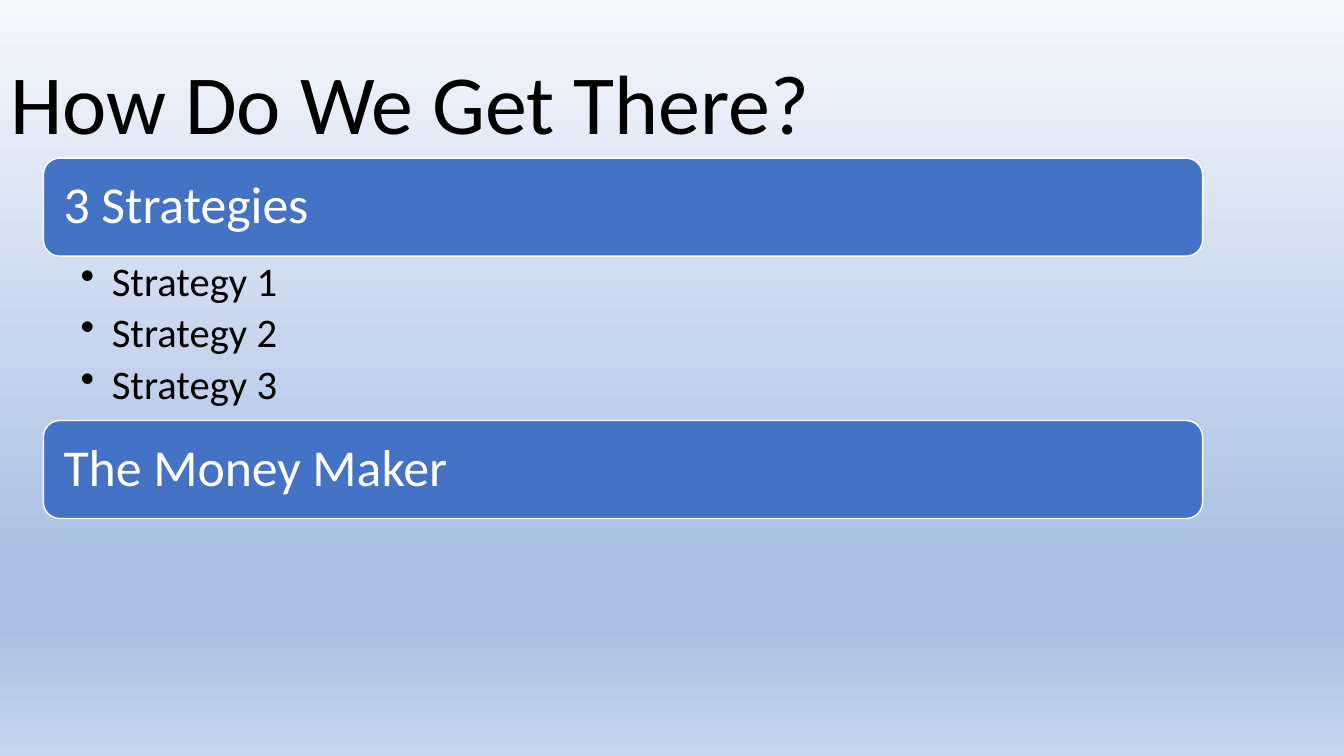
"""Build the "How Do We Get There?" strategy slide."""
from copy import deepcopy

from pptx import Presentation
from pptx.dml.color import RGBColor
from pptx.enum import shapes, text
from pptx.oxml import ns
from pptx.oxml.xmlchemy import OxmlElement
from pptx.util import Pt

BLACK = RGBColor(0x00, 0x00, 0x00)
WHITE = RGBColor(0xFF, 0xFF, 0xFF)
BLUE = RGBColor(0x44, 0x72, 0xC4)
MIST = RGBColor(0xF6, 0xF8, 0xFC)
SKY = RGBColor(0xAB, 0xC0, 0xE4)
HAZE = RGBColor(0xC7, 0xD5, 0xED)
BACKDROP = [(0, MIST), (0.74, SKY), (0.83, SKY), (1, HAZE)]

LEFT, TOP, WIDTH = 31, 113, 828
BAR_HEIGHT, LIST_HEIGHT = 70, 117.4


def write(shape, lines, size, color, anchor, insets, after=0, bullet_indent=0):
    """Fill a shape with left-aligned paragraphs in one format."""
    frame = shape.text_frame
    frame.auto_size = text.MSO_AUTO_SIZE.NONE
    frame.word_wrap = True
    frame.vertical_anchor = anchor
    frame.margin_left, frame.margin_top, frame.margin_right, frame.margin_bottom = map(Pt, insets)
    frame.text = "\n".join(lines)
    for paragraph in frame.paragraphs:
        if bullet_indent:
            properties = paragraph._p.get_or_add_pPr()
            properties.set("marL", str(Pt(bullet_indent)))
            properties.set("indent", str(-Pt(bullet_indent)))
            bullet = OxmlElement("a:buChar")
            bullet.set("char", "•")
            properties.append(bullet)
        paragraph.alignment = text.PP_ALIGN.LEFT
        paragraph.line_spacing = 0.9
        paragraph.space_before = Pt(0)
        paragraph.space_after = Pt(after)
        font = paragraph.runs[0].font
        font.name, font.size = "Calibri", Pt(size)
        font.color.rgb = color


presentation = Presentation()
presentation.slide_width, presentation.slide_height = Pt(960), Pt(540)
slide = presentation.slides.add_slide(presentation.slide_layouts[5])

backdrop = slide.background.fill
backdrop.gradient()
backdrop.gradient_angle = 270
stop_list = slide._element.find(".//" + ns.qn("a:gsLst"))
while len(stop_list) < len(BACKDROP):
    stop_list.append(deepcopy(stop_list[0]))
for stop, (position, color) in zip(backdrop.gradient_stops, BACKDROP):
    stop.position = position
    stop.color.rgb = color

title = slide.shapes.title
title.left, title.top, title.width, title.height = Pt(0), Pt(0), Pt(626.4), Pt(112.3)
write(title, ["How Do We Get There?"], 60, BLACK, text.MSO_ANCHOR.BOTTOM, (7.2, 3.6, 7.2, 3.6))

for index, heading in enumerate(["3 Strategies", "The Money Maker"]):
    bar_top = TOP + index * (BAR_HEIGHT + LIST_HEIGHT)
    bar = slide.shapes.add_shape(shapes.MSO_SHAPE.ROUNDED_RECTANGLE,
                                 Pt(LEFT), Pt(bar_top), Pt(WIDTH), Pt(BAR_HEIGHT))
    bar.shadow.inherit = False
    bar.fill.solid()
    bar.fill.fore_color.rgb = BLUE
    bar.line.color.rgb = WHITE
    bar.line.width = Pt(1)
    write(bar, [heading], 37, WHITE, text.MSO_ANCHOR.MIDDLE, (11, 10.8, 11, 10.8))

strategies = slide.shapes.add_textbox(Pt(LEFT), Pt(TOP + BAR_HEIGHT), Pt(WIDTH), Pt(LIST_HEIGHT))
write(strategies, [f"Strategy {number}" for number in range(1, 4)], 29, BLACK,
      text.MSO_ANCHOR.TOP, (26.6, 3.6, 20.9, 3.6), after=5.5, bullet_indent=22.3)

presentation.save("out.pptx")
